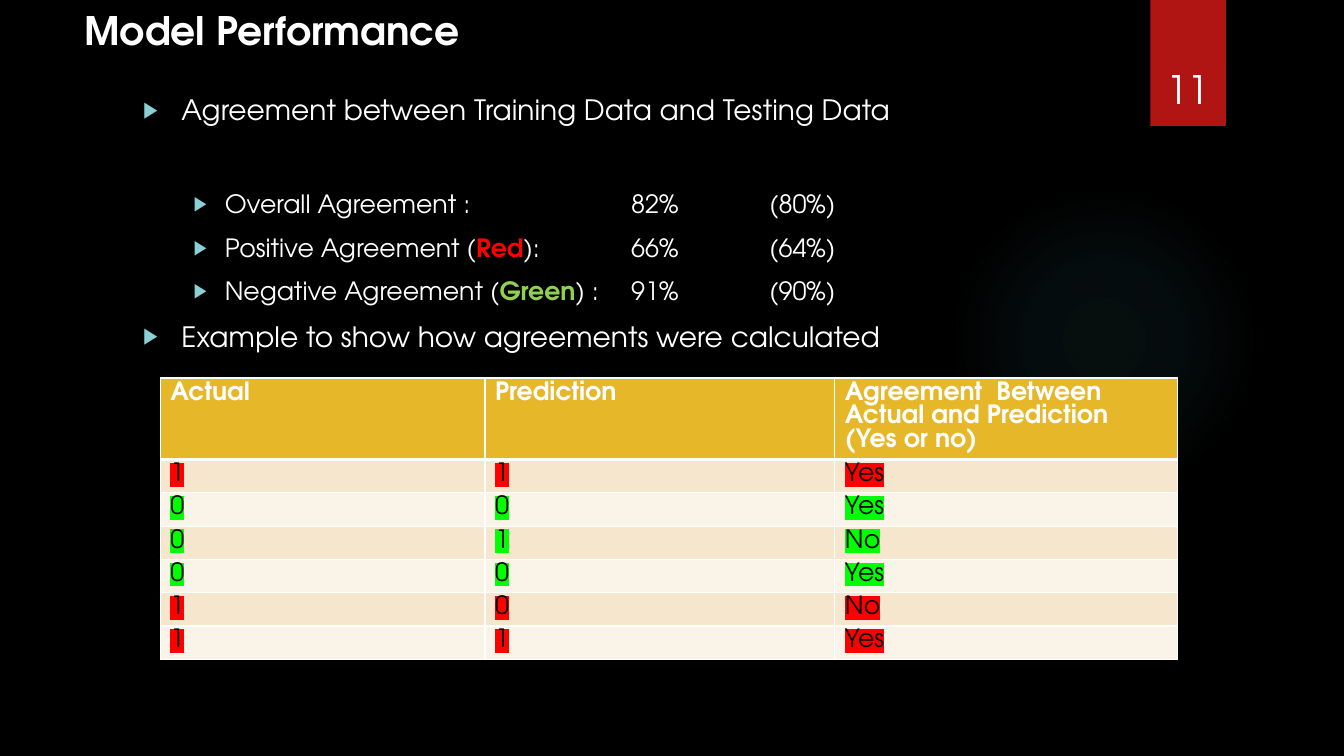
from lxml import etree
from pptx import Presentation
from pptx.dml.color import RGBColor
from pptx.enum import shapes, text
from pptx.oxml import parse_xml
from pptx.oxml.ns import nsdecls, qn
from pptx.util import Inches, Pt

FONT = "TeX Gyre Adventor"
WHITE, BLACK, RED, LIME = "FFFFFF", "000000", "FF0000", "00FF00"
GOLD, BANDS = "E6B729", ("F5E6CD", "FAF3E8")
TITLE, PAGE = "Model Performance", "11"

# level, space before, runs of (text, colour, bold)
POINTS = [
    (0, 10, [("Agreement between Training Data and Testing Data", WHITE, False)]),
    (1, 44.5, [("Overall Agreement :\t82%\t(80%)", WHITE, False)]),
    (1, 9.5, [("Positive Agreement (", WHITE, False), ("Red", RED, True),
              ("):\t66%\t(64%)", WHITE, False)]),
    (1, 9.5, [("Negative Agreement (", WHITE, False), ("Green", "92D050", True),
              (") :\t91%\t(90%)", WHITE, False)]),
    (0, 9.5, [("Example to show how agreements were calculated", WHITE, False)]),
]
LEVELS = [(20, 0.38, 0.38), (18, 0.81, 0.31)]  # size, margin, hanging indent
TABS = (4.84, 6.21)

HEAD = ["Actual", "Prediction", "Agreement  Between Actual and Prediction (Yes or no)"]
CASES = [(1, 1), (0, 0), (0, 1), (0, 0), (1, 0), (1, 1)]
COLS = (3.22, 3.47, 3.4)
HEAD_H, ROW_H = 0.81, 0.33


def rgb(code):
    return RGBColor.from_string(code)


def add_run(para, words, size, color=WHITE, bold=False):
    run = para.add_run()
    run.text = words
    font = run.font
    font.name, font.size, font.bold = FONT, Pt(size), bold
    font.color.rgb = rgb(color)
    return run


def place(shape, left, top, width, height):
    shape.left, shape.top = Inches(left), Inches(top)
    shape.width, shape.height = Inches(width), Inches(height)


def add_plain(kind, box, color):
    shape = slide.shapes.add_shape(kind, *map(Inches, box))
    shape.shadow.inherit = False
    shape.line.fill.background()
    shape.fill.solid()
    shape.fill.fore_color.rgb = rgb(color)
    return shape


def add_glow(shape, color, stops):
    """Swap the solid fill for a radial one that fades out."""
    marks = "".join(
        f'<a:gs pos="{pos * 1000}"><a:srgbClr val="{color}">'
        f'<a:alpha val="{alpha * 1000}"/></a:srgbClr></a:gs>' for pos, alpha in stops)
    grad = parse_xml(
        f'<a:gradFill {nsdecls("a")}><a:gsLst>{marks}</a:gsLst><a:path path="circle">'
        '<a:fillToRect l="50000" t="50000" r="50000" b="50000"/></a:path></a:gradFill>')
    props = shape._element.spPr
    props.replace(props.find(qn("a:solidFill")), grad)


def set_bullet(para, margin, hang):
    props = para._p.get_or_add_pPr()
    props.set("marL", str(Inches(margin)))
    props.set("indent", str(-Inches(hang)))
    color = etree.SubElement(props, qn("a:buClr"))
    etree.SubElement(color, qn("a:srgbClr"), val="8AD0D6")
    etree.SubElement(props, qn("a:buSzPct"), val="80000")
    etree.SubElement(props, qn("a:buChar"), char="▶")


def set_tabs(para, stops):
    tabs = etree.SubElement(para._p.get_or_add_pPr(), qn("a:tabLst"))
    for stop in stops:
        etree.SubElement(tabs, qn("a:tab"), pos=str(Inches(stop)), algn="l")


def set_cell(cell, words, fill, color, bold=False, mark=None, base=1):
    cell.margin_top = cell.margin_bottom = Inches(0.03)
    para = cell.text_frame.paragraphs[0]
    para.line_spacing = Pt(17)
    run = add_run(para, words, 18, color, bold)
    if mark:
        light = parse_xml(f'<a:highlight {nsdecls("a")}><a:srgbClr val="{mark}"/></a:highlight>')
        run.font._element.find(qn("a:solidFill")).addnext(light)
    props = cell._tc.get_or_add_tcPr()
    for side, width in (("L", 1), ("R", 1), ("T", 1), ("B", base)):
        props.append(parse_xml(
            f'<a:ln{side} {nsdecls("a")} w="{Pt(width)}"><a:solidFill>'
            f'<a:srgbClr val="{WHITE}"/></a:solidFill></a:ln{side}>'))
    cell.fill.solid()
    cell.fill.fore_color.rgb = rgb(fill)


deck = Presentation()
deck.slide_width, deck.slide_height = Inches(13.33), Inches(7.5)
slide = deck.slides.add_slide(deck.slide_layouts[1])
slide.background.fill.solid()
slide.background.fill.fore_color.rgb = rgb(BLACK)
title, body = slide.placeholders

glow = add_plain(shapes.MSO_SHAPE.OVAL, (9.41, 1.83, 3.08, 3.08), "50B9C1")
add_glow(glow, "50B9C1", [(0, 7), (36, 6), (69, 0)])
flag = add_plain(shapes.MSO_SHAPE.RECTANGLE, (11.41, 0, 0.75, 1.25), "B01513")
for back in (flag, glow):
    slide.shapes._spTree.insert(2, back._element)

place(title, 0.74, 0, 12.48, 0.59)
title.text_frame.vertical_anchor = text.MSO_ANCHOR.MIDDLE
para = title.text_frame.paragraphs[0]
para.alignment = text.PP_ALIGN.LEFT
add_run(para, TITLE, 28, bold=True)

place(body, 1.32, 0.87, 12.01, 6.62)
frame = body.text_frame
frame.auto_size = text.MSO_AUTO_SIZE.NONE
for i, (level, gap, runs) in enumerate(POINTS):
    para = frame.add_paragraph() if i else frame.paragraphs[0]
    size, margin, hang = LEVELS[level]
    para.level, para.space_before = level, Pt(gap)
    set_bullet(para, margin, hang)
    if level:
        set_tabs(para, TABS)
    for words, color, bold in runs:
        add_run(para, words, size, color, bold)

height = HEAD_H + ROW_H * len(CASES)
grid = slide.shapes.add_table(len(CASES) + 1, len(COLS), Inches(1.59), Inches(3.75),
                              Inches(sum(COLS)), Inches(height)).table
for col, width in zip(grid.columns, COLS):
    col.width = Inches(width)
for r, row in enumerate(grid.rows):
    row.height = Inches(ROW_H if r else HEAD_H)
for c, words in enumerate(HEAD):
    set_cell(grid.cell(0, c), words, GOLD, WHITE, bold=True, base=3)
grid.cell(0, 2).margin_right = Inches(0.5)
for r, (actual, guess) in enumerate(CASES):
    answer = "Yes" if actual == guess else "No"
    for c, words in enumerate((actual, guess, answer)):
        set_cell(grid.cell(r + 1, c), str(words), BANDS[r % 2], BLACK,
                 mark=RED if actual else LIME)

number = slide.shapes.add_textbox(*map(Inches, (11.32, 0.32, 0.92, 0.84)))
number.text_frame.word_wrap = True
number.text_frame.vertical_anchor = text.MSO_ANCHOR.BOTTOM
para = number.text_frame.paragraphs[0]
para.alignment = text.PP_ALIGN.CENTER
add_run(para, PAGE, 28)

deck.save("out.pptx")
